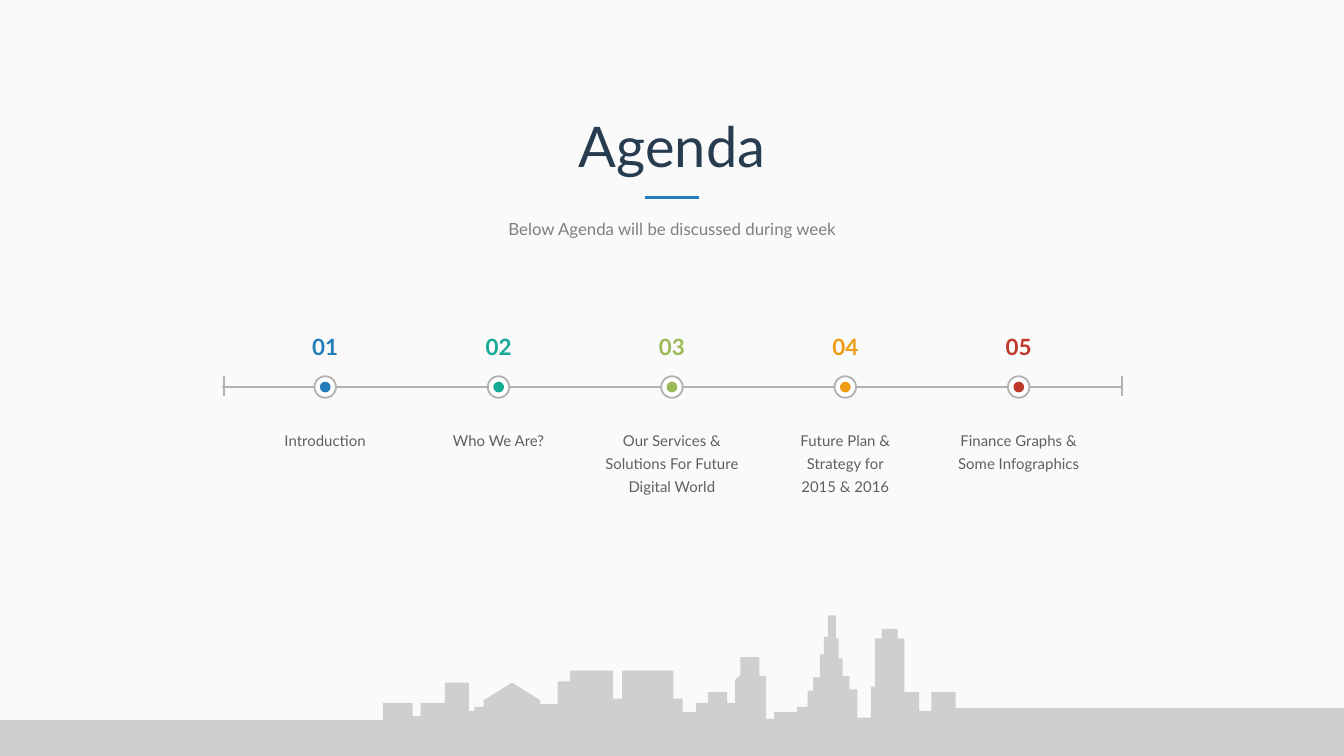
"""Build an agenda slide with a five-step timeline above a city skyline."""
from pptx import Presentation
from pptx.dml.color import RGBColor
from pptx.enum.shapes import MSO_CONNECTOR, MSO_SHAPE
from pptx.enum.text import MSO_ANCHOR, MSO_AUTO_SIZE, PP_ALIGN
from pptx.oxml.ns import qn
from pptx.util import Inches, Pt
from lxml import etree

RECTANGLE, ELLIPSE = MSO_SHAPE.RECTANGLE, MSO_SHAPE.OVAL
STRAIGHT = MSO_CONNECTOR.STRAIGHT
CENTER, TOP, NO_AUTOFIT = PP_ALIGN.CENTER, MSO_ANCHOR.TOP, MSO_AUTO_SIZE.NONE

BACKGROUND = RGBColor(0xFA, 0xFA, 0xFA)
WHITE = RGBColor(0xFF, 0xFF, 0xFF)
NAVY = RGBColor(0x28, 0x3C, 0x50)
SUBTITLE_GRAY = RGBColor(0x7F, 0x7F, 0x7F)
LABEL_GRAY = RGBColor(0x5F, 0x5F, 0x5F)
AXIS_GRAY = RGBColor(0xB2, 0xB2, 0xB2)
SKYLINE_GRAY = RGBColor(0xD0, 0xCE, 0xCE)
BLUE = RGBColor(0x23, 0x7D, 0xB9)
TEAL = RGBColor(0x14, 0xAA, 0x96)
GREEN = RGBColor(0x9B, 0xB9, 0x55)
ORANGE = RGBColor(0xF0, 0x9B, 0x14)
RED = RGBColor(0xBE, 0x39, 0x2B)

FONT = "Lato"
WIDTH = 10
HEIGHT = WIDTH * 9 / 16
CENTER_X = WIDTH / 2
STEP_GAP = 1.29
AXIS_Y = 2.88
AXIS_LEFT, AXIS_RIGHT = 1.65, 8.35

AGENDA = [
    (BLUE, 0.16, ["Introduction"]),
    (TEAL, 0.16, ["Who We Are?"]),
    (GREEN, 0.51, ["Our Services & Solutions For Future Digital World"]),
    (ORANGE, 0.51, ["Future Plan & Strategy for", "2015 & 2016"]),
    (RED, 0.33, ["Finance Graphs & Some Infographics"]),
]

SKYLINE_RIGHT = 10.17
ROOFS = [
    (-0.17, 5.36), (2.85, 5.23), (3.07, 5.33), (3.13, 5.23), (3.31, 5.08),
    (3.49, 5.29), (3.53, 5.26), (3.6, 5.21, 5.08), (3.81, 5.08, 5.21),
    (4.02, 5.24), (4.15, 5.07), (4.24, 4.99), (4.56, 5.2), (4.63, 4.99),
    (5.01, 5.2), (5.08, 5.3), (5.18, 5.23), (5.27, 5.15), (5.41, 5.23),
    (5.47, 5.06, 5.02), (5.51, 4.89), (5.65, 5.03), (5.7, 5.35), (5.76, 5.3),
    (5.93, 5.26), (6.01, 5.14), (6.05, 5.04), (6.1, 4.87), (6.13, 4.74),
    (6.16, 4.58), (6.22, 4.75), (6.24, 4.9), (6.27, 5.03), (6.32, 5.13),
    (6.38, 5.34), (6.48, 5.11), (6.51, 4.75), (6.56, 4.68), (6.68, 4.75),
    (6.73, 5.15), (6.84, 5.29), (6.93, 5.15), (7.11, 5.27),
]


def place(shape, left, top, width, height):
    """Move and size a shape in inches."""
    shape.left, shape.top = Inches(left), Inches(top)
    shape.width, shape.height = Inches(width), Inches(height)


def write(shape, lines, size, color, bold=False, spacing=1.0):
    """Fill a shape with centred paragraphs without margins."""
    frame = shape.text_frame
    frame.word_wrap = True
    frame.auto_size = NO_AUTOFIT
    frame.vertical_anchor = TOP
    frame.margin_left = frame.margin_right = 0
    frame.margin_top = frame.margin_bottom = 0
    for index, line in enumerate(lines):
        paragraph = frame.add_paragraph() if index else frame.paragraphs[0]
        paragraph.alignment = CENTER
        paragraph.line_spacing = spacing
        paragraph.space_before = Pt(0)
        run = paragraph.add_run()
        run.text = line
        run.font.name = FONT
        run.font.size = Pt(size)
        run.font.bold = bold
        run.font.color.rgb = color


def paint(shape, fill, outline=None):
    """Give a shape a flat fill and an optional thin outline."""
    shape.shadow.inherit = False
    shape.fill.solid()
    shape.fill.fore_color.rgb = fill
    if outline is None:
        shape.line.fill.background()
    else:
        shape.line.color.rgb = outline
        shape.line.width = Pt(1)


def add_centered_shape(shapes, kind, x, y, width, height, fill, outline=None):
    """Add a preset shape around a centre point."""
    shape = shapes.add_shape(kind, 0, 0, 0, 0)
    place(shape, x - width / 2, y - height / 2, width, height)
    paint(shape, fill, outline)


def add_centered_text(slide, x, top, width, height, lines, **style):
    """Add a text box centred on a vertical line."""
    box = slide.shapes.add_textbox(0, 0, 0, 0)
    place(box, x - width / 2, top, width, height)
    write(box, lines, **style)


def add_line(shapes, start, end, weight):
    """Add a grey line without a shadow."""
    points = [Inches(value) for value in (*start, *end)]
    line = shapes.add_connector(STRAIGHT, *points)
    line.line.color.rgb = AXIS_GRAY
    line.line.width = Pt(weight)
    etree.SubElement(line._element.spPr, qn("a:effectLst"))


def add_skyline(slide):
    """Draw the city outline from its roof segments."""
    ends = [roof[0] for roof in ROOFS[1:]] + [SKYLINE_RIGHT]
    points = []
    for (left, *heights), right in zip(ROOFS, ends):
        points += [(left, heights[0]), (right, heights[-1])]
    points += [(SKYLINE_RIGHT, HEIGHT), (ROOFS[0][0], HEIGHT)]
    corners = [(Inches(x), Inches(y)) for x, y in points]
    builder = slide.shapes.build_freeform(*corners[0])
    builder.add_line_segments(corners[1:], close=True)
    paint(builder.convert_to_shape(), SKYLINE_GRAY)


def add_heading(slide):
    """Fill the title and subtitle placeholders and add the rule between."""
    title, subtitle = slide.shapes.title, slide.placeholders[1]
    place(title, 0.75, 0.83, 8.5, 0.5)
    write(title, ["Agenda"], 30, NAVY)
    place(subtitle, 0.75, 1.63, 8.5, 0.15)
    write(subtitle, ["Below Agenda will be discussed during week"], 9, SUBTITLE_GRAY)
    add_centered_shape(slide.shapes, RECTANGLE, CENTER_X, 1.47, 0.4, 0.02, BLUE)


def add_timeline(slide):
    """Add the axis, then a number, a marker and a label for each step."""
    shapes = slide.shapes.add_group_shape().shapes
    add_line(shapes, (AXIS_LEFT, AXIS_Y), (AXIS_RIGHT, AXIS_Y), 1.5)
    for x in (AXIS_LEFT + 0.02, AXIS_RIGHT):
        add_line(shapes, (x, 2.8), (x, 2.95), 1)
    for index, (color, label_height, lines) in enumerate(AGENDA):
        x = CENTER_X + (index - (len(AGENDA) - 1) / 2) * STEP_GAP
        add_centered_shape(shapes, ELLIPSE, x, AXIS_Y, 0.16, 0.16, WHITE, AXIS_GRAY)
        add_centered_shape(shapes, ELLIPSE, x, AXIS_Y, 0.08, 0.08, color)
        add_centered_text(slide, x, 2.48, 0.23, 0.2, [f"{index + 1:02}"],
                          size=12, color=color, bold=True)
        add_centered_text(slide, x, 3.17, 1, label_height, lines,
                          size=8, color=LABEL_GRAY, spacing=1.3)


def main():
    """Create the presentation and save it."""
    presentation = Presentation()
    presentation.slide_width = Inches(WIDTH)
    presentation.slide_height = Inches(HEIGHT)
    slide = presentation.slides.add_slide(presentation.slide_layouts[0])
    slide.background.fill.solid()
    slide.background.fill.fore_color.rgb = BACKGROUND
    add_skyline(slide)
    add_heading(slide)
    add_timeline(slide)
    presentation.save("out.pptx")


if __name__ == "__main__":
    main()
